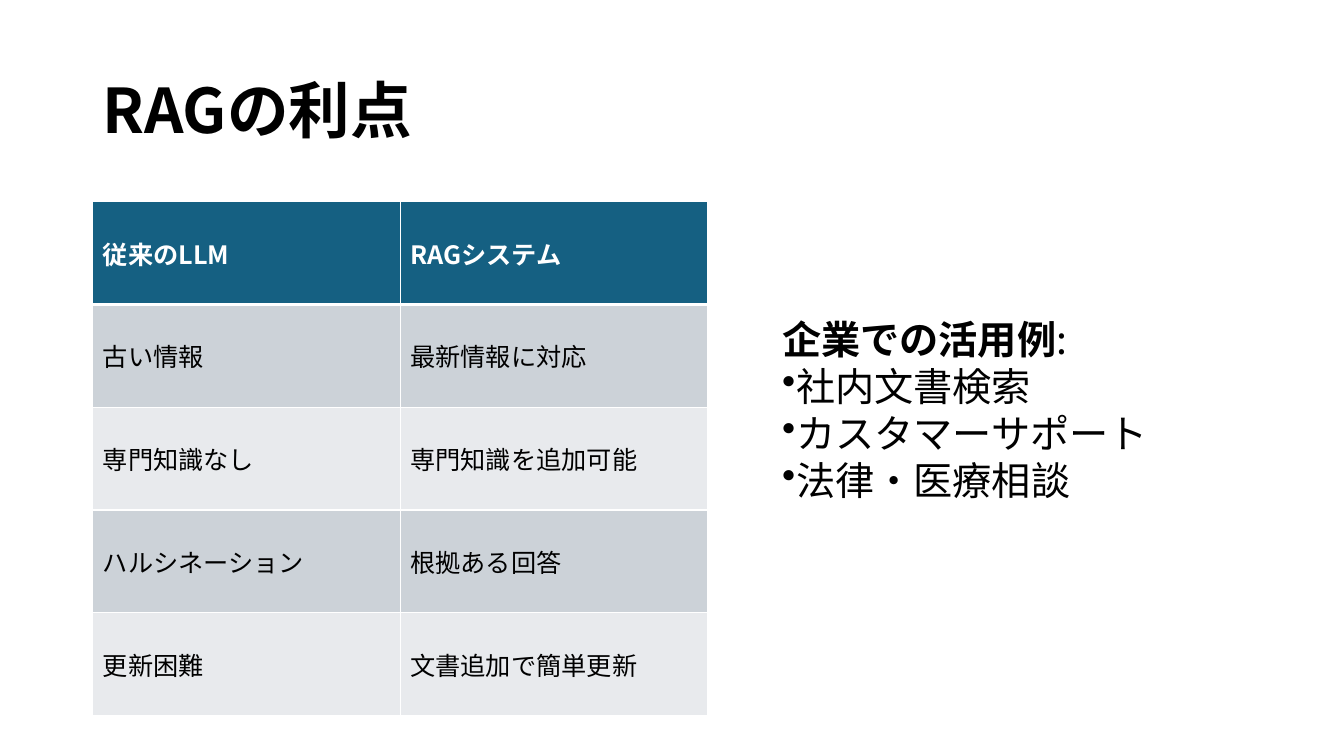
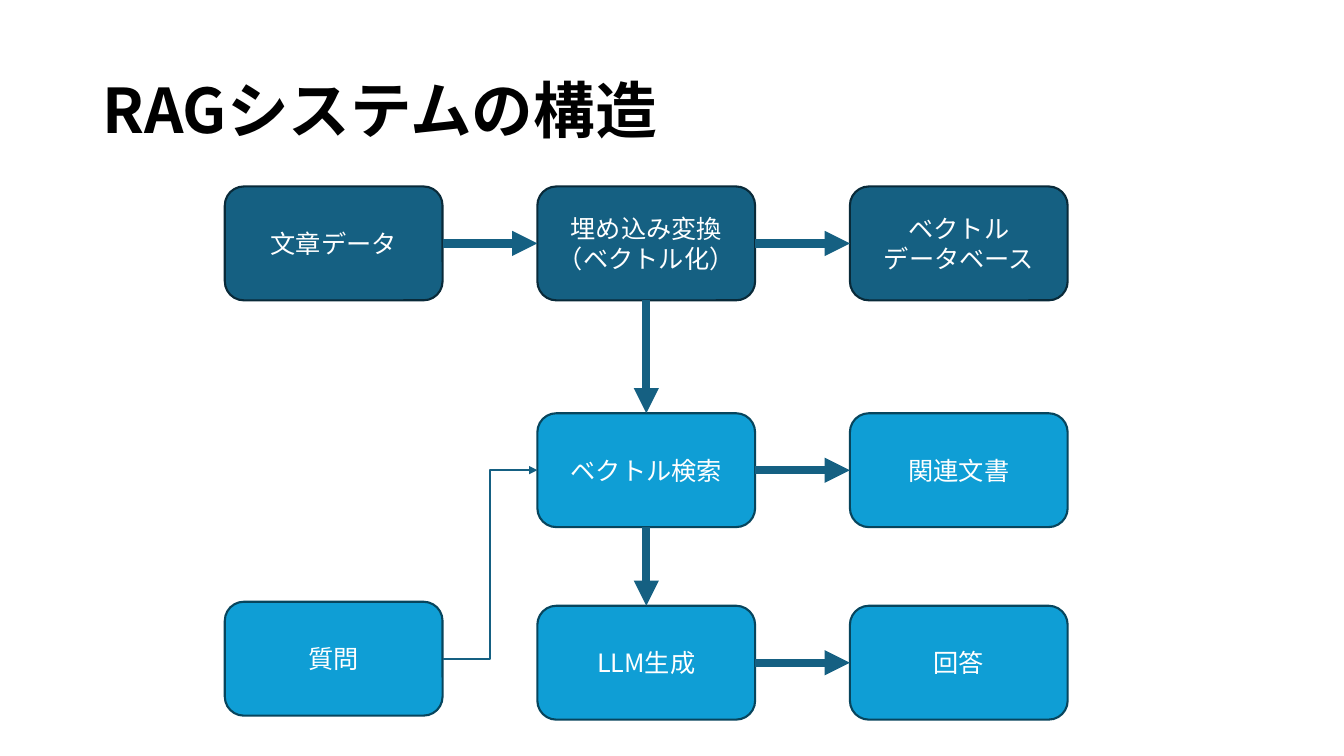
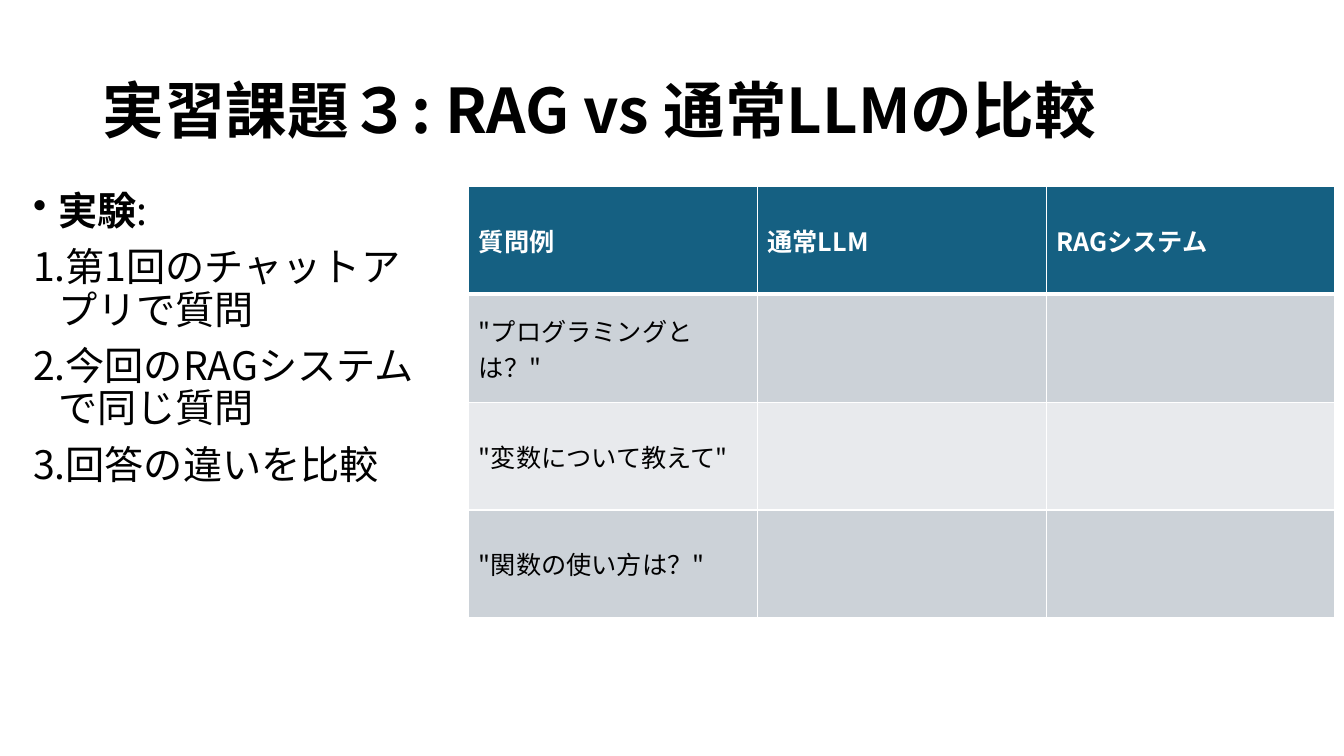
"""Build three slides on RAG: benefits, system structure and a comparison exercise."""
from dataclasses import dataclass

from lxml import etree
from pptx import Presentation
from pptx.dml.color import RGBColor
from pptx.enum.shapes import MSO_CONNECTOR, MSO_SHAPE
from pptx.enum.text import MSO_ANCHOR, PP_ALIGN
from pptx.oxml.ns import qn
from pptx.util import Inches, Pt

STRAIGHT, ELBOW = MSO_CONNECTOR.STRAIGHT, MSO_CONNECTOR.ELBOW
ROUNDED = MSO_SHAPE.ROUNDED_RECTANGLE
TOP, MIDDLE = MSO_ANCHOR.TOP, MSO_ANCHOR.MIDDLE
LEFT, CENTER = PP_ALIGN.LEFT, PP_ALIGN.CENTER
SITES = {"top": 0, "left": 1, "bottom": 2, "right": 3}


@dataclass(frozen=True)
class Theme:
    font: str = "Noto Sans CJK JP"
    black: str = "000000"
    white: str = "FFFFFF"
    navy: str = "156082"
    navy_edge: str = "092A39"
    blue: str = "0F9ED5"
    blue_edge: str = "07455D"
    bands: tuple = ("CCD2D8", "E8EAED")
    title_size: int = 44
    body_size: int = 28
    label_size: int = 18
    thin: float = 1.5
    thick: float = 6


THEME = Theme()

BENEFITS = [
    ("従来のLLM", "RAGシステム"),
    ("古い情報", "最新情報に対応"),
    ("専門知識なし", "専門知識を追加可能"),
    ("ハルシネーション", "根拠ある回答"),
    ("更新困難", "文書追加で簡単更新"),
]
USE_CASES = [
    ("", [("企業での活用例", True), (":", False)]),
    ("•", "社内文書検索"),
    ("•", "カスタマーサポート"),
    ("•", "法律・医療相談"),
]

COLUMN_LEFT, COLUMN_STEP = 2.23, 3.1
BOX_WIDTH, BOX_HEIGHT = 2.16, 1.13
INDEXING = (THEME.navy, THEME.navy_edge)
ANSWERING = (THEME.blue, THEME.blue_edge)
BOXES = {
    "data": (["文章データ"], 0, 1.85, INDEXING),
    "embedding": (["埋め込み変換", "（ベクトル化）"], 1, 1.85, INDEXING),
    "database": (["ベクトル", "データベース"], 2, 1.85, INDEXING),
    "question": (["質問"], 0, 5.97, ANSWERING),
    "search": (["ベクトル検索"], 1, 4.1, ANSWERING),
    "documents": (["関連文書"], 2, 4.1, ANSWERING),
    "generation": (["LLM生成"], 1, 6.01, ANSWERING),
    "answer": (["回答"], 2, 6.01, ANSWERING),
}
ACROSS, DOWN = ("right", "left"), ("bottom", "top")
ARROWS = [
    ("data", "embedding", ACROSS, STRAIGHT, THEME.thick),
    ("embedding", "database", ACROSS, STRAIGHT, THEME.thick),
    ("question", "search", ACROSS, ELBOW, THEME.thin),
    ("search", "documents", ACROSS, STRAIGHT, THEME.thick),
    ("embedding", "search", DOWN, STRAIGHT, THEME.thick),
    ("search", "generation", DOWN, STRAIGHT, THEME.thick),
    ("generation", "answer", ACROSS, STRAIGHT, THEME.thick),
]

EXERCISE_STEPS = [
    ("•", [("実験", True), (":", False)]),
    ("1.", "第1回のチャットアプリで質問"),
    ("1.", "今回のRAGシステムで同じ質問"),
    ("1.", "回答の違いを比較"),
]
COMPARISON = [
    ("質問例", "通常LLM", "RAGシステム"),
    ('"プログラミングとは？"', "", ""),
    ('"変数について教えて"', "", ""),
    ('"関数の使い方は？"', "", ""),
]


def color(value):
    return RGBColor.from_string(value)


def write_text(frame, paragraphs, *, size, fill=THEME.black, bold=False, align=LEFT,
               anchor=TOP, spacing=None, before=None, hanging=0):
    """Write (bullet, text or runs) paragraphs into a text frame."""
    frame.word_wrap = True
    frame.vertical_anchor = anchor
    for index, (bullet, content) in enumerate(paragraphs):
        paragraph = frame.add_paragraph() if index else frame.paragraphs[0]
        paragraph.alignment = align
        if spacing:
            paragraph.line_spacing = spacing
        if before:
            paragraph.space_before = Pt(before)
        if bullet:
            add_bullet(paragraph, bullet, hanging)
        runs = [(content, bold)] if isinstance(content, str) else content
        for text, is_bold in runs:
            run = paragraph.add_run()
            run.text = text
            run.font.name = THEME.font
            run.font.size = Pt(size)
            run.font.bold = is_bold
            run.font.color.rgb = color(fill)
            east_asian = etree.SubElement(run.font._element, qn("a:ea"))
            east_asian.set("typeface", THEME.font)


def add_bullet(paragraph, bullet, hanging):
    properties = paragraph._p.get_or_add_pPr()
    properties.set("marL", str(Inches(hanging)))
    properties.set("indent", str(-Inches(hanging)))
    if bullet == "1.":
        etree.SubElement(properties, qn("a:buAutoNum")).set("type", "arabicPeriod")
    else:
        etree.SubElement(properties, qn("a:buChar")).set("char", bullet)


def add_text_box(slide, area, paragraphs, **text_format):
    box = slide.shapes.add_textbox(*map(Inches, area))
    write_text(box.text_frame, paragraphs, **text_format)


def add_titled_slide(presentation, title):
    slide = presentation.slides.add_slide(presentation.slide_layouts[6])
    add_text_box(slide, (0.92, 0.4, 11.5, 1.45), [("", title)], size=THEME.title_size,
                 bold=True, anchor=MIDDLE, spacing=0.9)
    return slide


def add_border(cell, side, width):
    line = etree.SubElement(cell._tc.get_or_add_tcPr(), qn("a:" + side), w=str(Pt(width)))
    solid = etree.SubElement(line, qn("a:solidFill"))
    etree.SubElement(solid, qn("a:srgbClr"), val=THEME.white)


def add_banded_table(slide, area, rows):
    left, top, width, height = area
    table = slide.shapes.add_table(len(rows), len(rows[0]), *map(Inches, area)).table
    for column in table.columns:
        column.width = Inches(width / len(rows[0]))
    for row_index, texts in enumerate(rows):
        table.rows[row_index].height = Inches(height / len(rows))
        header = row_index == 0
        fill = THEME.navy if header else THEME.bands[(row_index - 1) % 2]
        widths = {"lnL": 1, "lnR": 1, "lnT": 3 if row_index == 1 else 1,
                  "lnB": 3 if header else 1}
        for column_index, text in enumerate(texts):
            cell = table.cell(row_index, column_index)
            cell.vertical_anchor = MIDDLE
            for side, border_width in widths.items():
                add_border(cell, side, border_width)
            cell.fill.solid()
            cell.fill.fore_color.rgb = color(fill)
            if text:
                write_text(cell.text_frame, [("", text)], size=THEME.label_size, bold=header,
                           fill=THEME.white if header else THEME.black)


def add_box(slide, lines, column, top, colors):
    fill, edge = colors
    area = (COLUMN_LEFT + column * COLUMN_STEP, top, BOX_WIDTH, BOX_HEIGHT)
    shape = slide.shapes.add_shape(ROUNDED, *map(Inches, area))
    shape.shadow.inherit = False
    shape.fill.solid()
    shape.fill.fore_color.rgb = color(fill)
    shape.line.color.rgb = color(edge)
    shape.line.width = Pt(THEME.thin)
    write_text(shape.text_frame, [("", line) for line in lines], size=THEME.label_size,
               fill=THEME.white, align=CENTER, anchor=MIDDLE)
    return shape


def add_arrow(slide, start, end, sides, kind, width):
    connector = slide.shapes.add_connector(kind, 0, 0, 0, 0)
    connector.begin_connect(start, SITES[sides[0]])
    connector.end_connect(end, SITES[sides[1]])
    connector.line.color.rgb = color(THEME.navy)
    connector.line.width = Pt(width)
    etree.SubElement(connector.line._get_or_add_ln(), qn("a:tailEnd"), type="triangle")
    etree.SubElement(connector._element.spPr, qn("a:effectLst"))


def build_benefits(presentation):
    slide = add_titled_slide(presentation, "RAGの利点")
    add_banded_table(slide, (0.92, 2, 6.1, 5.1), BENEFITS)
    add_text_box(slide, (7.66, 3.08, 4.15, 1.99), USE_CASES, size=THEME.body_size)


def build_structure(presentation):
    slide = add_titled_slide(presentation, "RAGシステムの構造")
    boxes = {name: add_box(slide, *details) for name, details in BOXES.items()}
    for start, end, sides, kind, width in ARROWS:
        add_arrow(slide, boxes[start], boxes[end], sides, kind, width)


def build_exercise(presentation):
    slide = add_titled_slide(presentation, "実習課題３: RAG vs 通常LLMの比較")
    add_text_box(slide, (0.23, 1.85, 4.12, 5.65), EXERCISE_STEPS, size=THEME.body_size,
                 spacing=0.9, before=10, hanging=0.25)
    add_banded_table(slide, (4.65, 1.85, 8.59, 4.28), COMPARISON)


def main():
    presentation = Presentation()
    presentation.slide_width = Inches(13.33)
    presentation.slide_height = Inches(7.5)
    build_benefits(presentation)
    build_structure(presentation)
    build_exercise(presentation)
    presentation.save("out.pptx")


if __name__ == "__main__":
    main()
